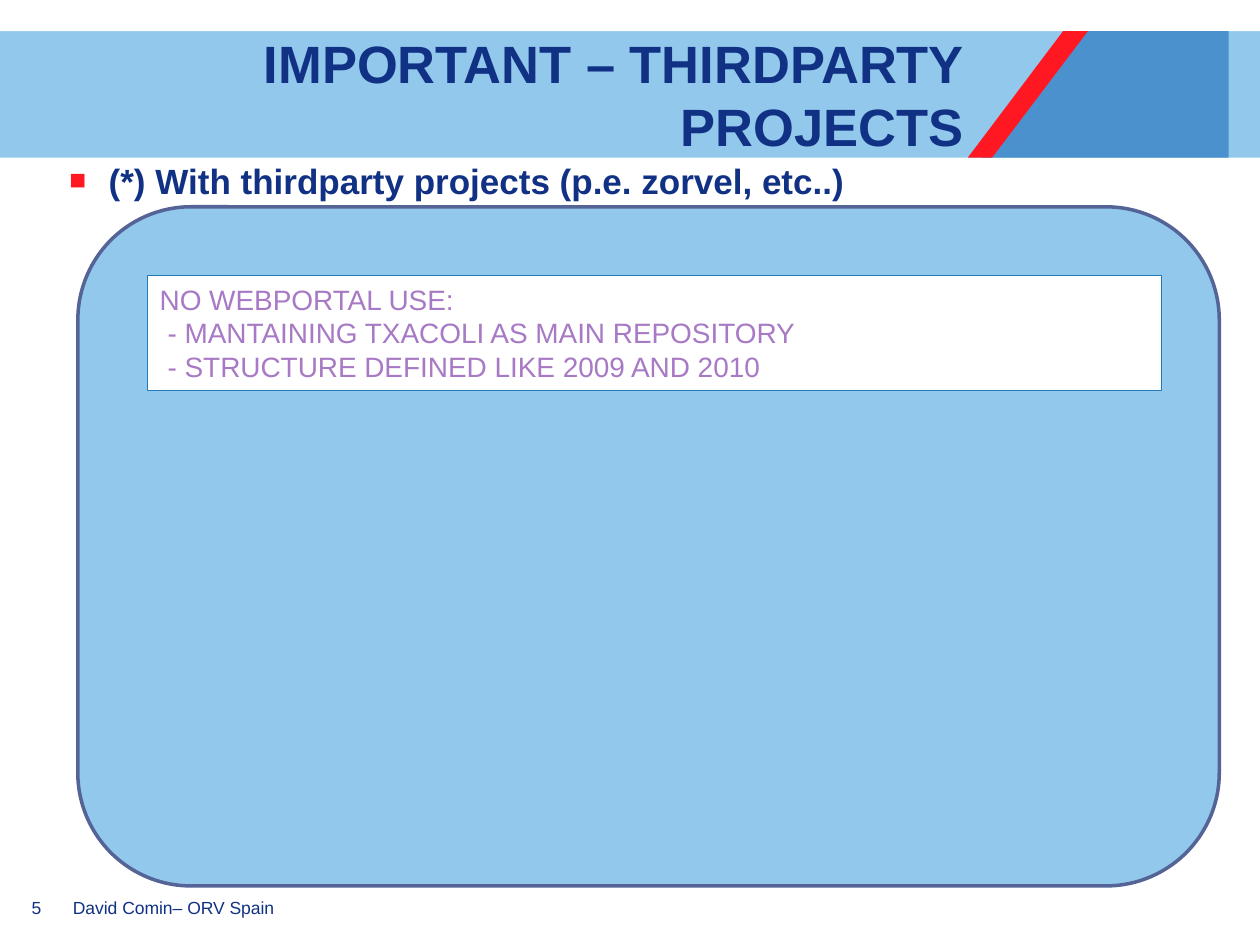
import dataclasses

import pptx
import pptx.dml.color
import pptx.enum.shapes
import pptx.enum.text
import pptx.oxml
import pptx.oxml.ns
import pptx.util
from pptx.util import Cm


@dataclasses.dataclass(frozen=True)
class Theme:
    font: str = "Arial"
    sky: str = "91C8EB"
    blue: str = "4B91CD"
    red: str = "FF1821"
    white: str = "FFFFFF"
    navy: str = "103184"
    violet: str = "A879C4"
    panel_line: str = "556496"
    note_line: str = "2778B6"
    title_size: int = 30
    lead_size: int = 20
    note_size: int = 16
    footer_size: int = 10


theme = Theme()


def paint(shape, fill, line=None, width=0):
    shape.shadow.inherit = False
    shape.fill.solid()
    shape.fill.fore_color.rgb = pptx.dml.color.RGBColor.from_string(fill)
    if line:
        shape.line.color.rgb = pptx.dml.color.RGBColor.from_string(line)
        shape.line.width = pptx.util.Pt(width)
    else:
        shape.line.fill.background()


def write(shape, lines, size, color, bold=False, align="LEFT", anchor="TOP", inset=(0, 0)):
    frame = shape.text_frame
    frame.word_wrap = True
    frame.auto_size = pptx.enum.text.MSO_AUTO_SIZE.NONE
    frame.vertical_anchor = pptx.enum.text.MSO_ANCHOR[anchor]
    frame.margin_left = frame.margin_right = Cm(inset[0])
    frame.margin_top = frame.margin_bottom = Cm(inset[1])
    frame.text = "\n".join(lines)
    for paragraph in frame.paragraphs:
        paragraph.alignment = pptx.enum.text.PP_ALIGN[align]
        paragraph.space_before = pptx.util.Pt(0)
        paragraph.font.name = theme.font
        paragraph.font.size = pptx.util.Pt(size)
        paragraph.font.bold = bold
        paragraph.font.color.rgb = pptx.dml.color.RGBColor.from_string(color)


presentation = pptx.Presentation()
presentation.slide_width, presentation.slide_height = Cm(25.4), Cm(19.05)
slide = presentation.slides.add_slide(presentation.slide_layouts[1])
shapes = slide.shapes
shape_kinds = pptx.enum.shapes.MSO_SHAPE

# Background: sky band between two white areas
slide.background.fill.solid()
slide.background.fill.fore_color.rgb = pptx.dml.color.RGBColor.from_string(theme.sky)
band_top, band_bottom = 0.63, 3.18
for top, bottom in ((0, band_top), (band_bottom, 19.05)):
    white_area = shapes.add_shape(
        shape_kinds.RECTANGLE, 0, Cm(top), Cm(25.4), Cm(bottom - top))
    paint(white_area, theme.white)

# Slanted emblem: x of the top edge, then of the bottom edge
for (top_left, top_right), (bottom_left, bottom_right), color in (
    ((21.74, 24.77), (19.79, 24.77), theme.blue),
    ((21.43, 21.93), (19.51, 20), theme.red),
):
    outline = shapes.build_freeform(Cm(top_left), Cm(band_top))
    outline.add_line_segments([
        (Cm(top_right), Cm(band_top)),
        (Cm(bottom_right), Cm(band_bottom)),
        (Cm(bottom_left), Cm(band_bottom)),
    ], close=True)
    paint(outline.convert_to_shape(), color)

# Footer
for left, width, text in ((0.64, 0.83, "5"), (1.47, 18.21, "David Comin– ORV Spain")):
    footer = shapes.add_textbox(Cm(left), Cm(18.08), Cm(width), Cm(0.83))
    write(footer, [text], theme.footer_size, theme.navy)

# Title
title = shapes.title
title.left, title.top, title.width, title.height = Cm(1.47), Cm(0.63), Cm(17.96), Cm(2.54)
write(title, ["IMPORTANT – THIRDPARTY PROJECTS"], theme.title_size, theme.navy,
      bold=True, align="RIGHT", anchor="MIDDLE")

# Lead line with a square red bullet
lead = slide.placeholders[1]
lead.left, lead.top, lead.width, lead.height = Cm(1.4), Cm(3.38), Cm(22.12), Cm(0.99)
write(lead, ["(*) With thirdparty projects (p.e. zorvel, etc..)"],
      theme.lead_size, theme.navy, bold=True)
lead_line = lead.text_frame.paragraphs[0]
lead_line.line_spacing = 0.8
lead_format = lead_line._p.get_or_add_pPr()
lead_format.set("marL", str(Cm(0.79)))
lead_format.set("indent", str(Cm(-0.79)))
namespace = pptx.oxml.ns.nsdecls("a")
bullet_parts = [
    f'<a:buClr {namespace}><a:srgbClr val="{theme.red}"/></a:buClr>',
    f'<a:buSzPct {namespace} val="80000"/>',
    f'<a:buFont {namespace} typeface="{theme.font}"/>',
    f'<a:buChar {namespace} char="■"/>',
]
first_run_format = lead_format.find(pptx.oxml.ns.qn("a:defRPr"))
for part in bullet_parts:
    first_run_format.addprevious(pptx.oxml.parse_xml(part))

# Placeholders go in front of the background
for placeholder in (title, lead):
    shapes._spTree.append(placeholder._element)

# Rounded panel
panel = shapes.add_shape(
    shape_kinds.ROUNDED_RECTANGLE, Cm(1.57), Cm(4.17), Cm(23.01), Cm(13.69))
paint(panel, theme.sky, theme.panel_line, 2)

# Note, with its dashed lines slightly indented
note = shapes.add_shape(shape_kinds.RECTANGLE, Cm(2.97), Cm(5.56), Cm(20.45), Cm(2.31))
paint(note, theme.white, theme.note_line, 0.75)
write(note, [
    "NO WEBPORTAL USE:",
    "- MANTAINING TXACOLI AS MAIN REPOSITORY",
    "- STRUCTURE DEFINED LIKE 2009 AND 2010",
], theme.note_size, theme.violet, inset=(0.25, 0.13))
for point in note.text_frame.paragraphs[1:]:
    point._p.get_or_add_pPr().set("marL", str(Cm(0.16)))

presentation.save("out.pptx")
